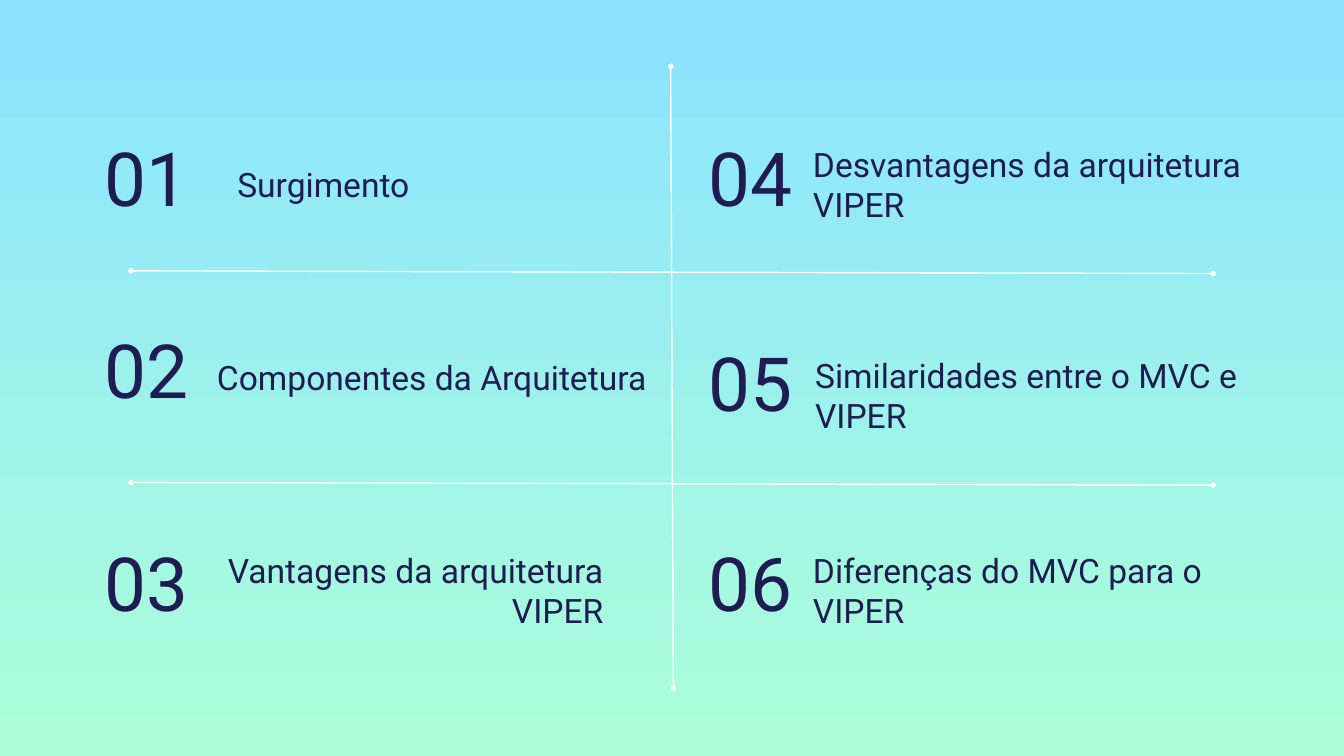
from typing import NamedTuple

from lxml import etree
from pptx import Presentation
from pptx import util as u
from pptx.dml import color
from pptx.enum import shapes, text
from pptx.oxml import ns

NAVY = "1F1C51"
WHITE = "FFFFFF"
SKY = "8BE3FF"
MINT = "ACFFD9"
FONT = "Roboto"
LEFT, RIGHT, JUSTIFY = text.PP_ALIGN.LEFT, text.PP_ALIGN.RIGHT, text.PP_ALIGN.JUSTIFY
LINE_PITCH = 1.2
NUMBER_WIDTH, NUMBER_HEIGHT = 6.12, 3.99


class Topic(NamedTuple):
    label: str
    number_left: float
    number_top: float
    number_align: text.PP_ALIGN
    left: float
    top: float
    width: float
    height: float
    align: text.PP_ALIGN


class Divider(NamedTuple):
    x1: float
    y1: float
    x2: float
    y2: float


TOPICS = [
    Topic("Surgimento", 3.96, 4.98, LEFT, 8.97, 6.2, 14.66, 1.57, JUSTIFY),
    Topic("Componentes da Arquitetura", 3.96, 12.24, LEFT, 4.78, 13.49, 19.66, 1.57, RIGHT),
    Topic("Vantagens da arquitetura VIPER", 3.96, 20.29, LEFT, 6.43, 20.78, 16.38, 3.1, RIGHT),
    Topic("Desvantagens da arquitetura VIPER", 23.83, 4.98, RIGHT, 30.73, 5.44, 17.04, 3.1, LEFT),
    Topic("Similaridades entre o MVC e VIPER", 23.83, 12.75, RIGHT, 30.81, 13.41, 16.92, 3.1, LEFT),
    Topic("Diferenças do MVC para o VIPER", 23.83, 20.29, RIGHT, 30.73, 20.78, 16.97, 3.1, LEFT),
]

DIVIDERS = [
    Divider(25.35, 2.51, 25.45, 26.01),
    Divider(4.95, 10.24, 45.85, 10.34),
    Divider(4.95, 18.24, 45.85, 18.34),
]


def rgb(hex_code: str) -> color.RGBColor:
    return color.RGBColor.from_string(hex_code)


def paint_background(slide) -> None:
    fill = slide.background.fill
    fill.gradient()
    fill.gradient_angle = 270
    for stop, hex_code, position in zip(fill.gradient_stops, (SKY, MINT), (0, 1)):
        stop.color.rgb = rgb(hex_code)
        stop.position = position


def add_text(slide, words: str, left: float, top: float, width: float,
             height: float, size: int, align: text.PP_ALIGN) -> None:
    box = slide.shapes.add_textbox(u.Cm(left), u.Cm(top), u.Cm(width), u.Cm(height))
    frame = box.text_frame
    frame.margin_left = frame.margin_right = frame.margin_top = frame.margin_bottom = 0
    frame.word_wrap = True
    frame.auto_size = text.MSO_AUTO_SIZE.SHAPE_TO_FIT_TEXT
    frame.text = words
    paragraph = frame.paragraphs[0]
    paragraph.alignment = align
    paragraph.line_spacing = u.Pt(size * LINE_PITCH)
    font = paragraph.runs[0].font
    font.name = FONT
    font.size = u.Pt(size)
    font.color.rgb = rgb(NAVY)


def draw_topic(slide, topic: Topic, order: int) -> None:
    add_text(slide, f"{order:02d}", topic.number_left, topic.number_top,
             NUMBER_WIDTH, NUMBER_HEIGHT, 80, topic.number_align)
    add_text(slide, topic.label, topic.left, topic.top,
             topic.width, topic.height, 36, topic.align)


def draw_divider(slide, divider: Divider) -> None:
    connector = slide.shapes.add_connector(
        shapes.MSO_CONNECTOR.STRAIGHT, *(u.Cm(value) for value in divider))
    connector.line.color.rgb = rgb(WHITE)
    connector.line.width = u.Pt(1.5)
    outline = connector.line._get_or_add_ln()
    for end in ("a:headEnd", "a:tailEnd"):
        etree.SubElement(outline, ns.qn(end), type="oval", w="med", len="med")
    etree.SubElement(connector._element.spPr, ns.qn("a:effectLst"))


def main() -> None:
    deck = Presentation()
    deck.slide_width, deck.slide_height = u.Cm(50.8), u.Cm(28.58)
    slide = deck.slides.add_slide(deck.slide_layouts[6])
    paint_background(slide)
    for divider in DIVIDERS:
        draw_divider(slide, divider)
    for order, topic in enumerate(TOPICS, start=1):
        draw_topic(slide, topic, order)
    deck.save("out.pptx")


if __name__ == "__main__":
    main()
